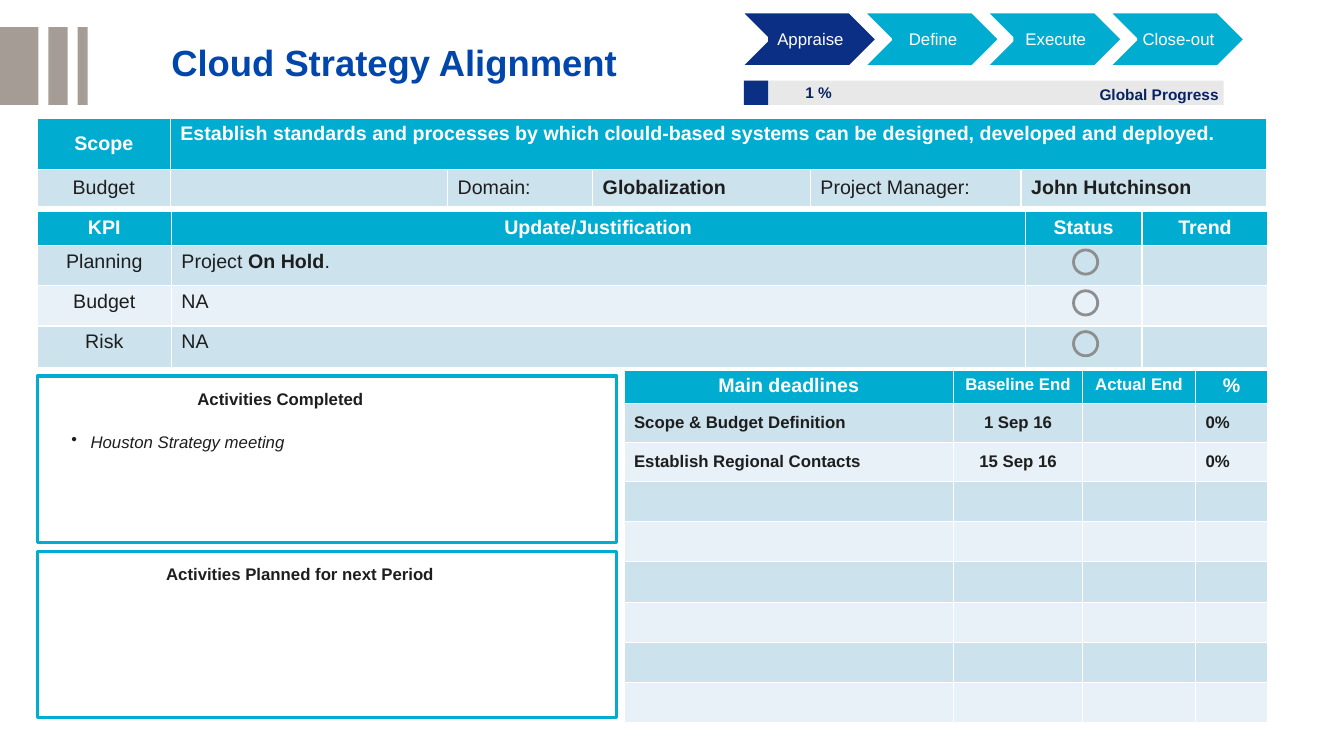
from dataclasses import dataclass

from lxml.etree import SubElement
from pptx import Presentation
from pptx.dml.color import RGBColor
from pptx.enum.shapes import MSO_SHAPE
from pptx.enum.text import MSO_ANCHOR, PP_ALIGN
from pptx.oxml.ns import qn
from pptx.util import Inches, Length, Pt

# Palette and alignment codes
CYAN, NAVY, TAUPE, TITLE_BLUE = "00ADD0", "0A2F85", "A59D95", "0046AD"
INK, PROGRESS_INK, WHITE, TRACK, RING = "1E1E1E", "082364", "FFFFFF", "E8E8E8", "8E8E8E"
BANDS = ("CCE3EE", "E7F1F7")
ALIGN = {"l": PP_ALIGN.LEFT, "c": PP_ALIGN.CENTER}
TOP, MIDDLE = MSO_ANCHOR.TOP, MSO_ANCHOR.MIDDLE


def grid(steps: float) -> Length:
    """The slide is a grid of 133.3 columns by 75 rows, each 0.1 inch."""
    return Inches(steps / 10)


def colour(value: str) -> RGBColor:
    return RGBColor.from_string(value)


@dataclass
class Box:
    column: float
    row: float
    columns: float
    rows: float

    def lengths(self) -> list[Length]:
        return [grid(n) for n in (self.column, self.row, self.columns, self.rows)]


@dataclass
class Label:
    box: Box
    text: str
    size: float
    ink: str
    bold: bool = False
    italic: bool = False
    align: str = "l"
    anchor: MSO_ANCHOR = TOP
    insets: tuple = (0.1, 0.05, 0.1, 0.05)
    line_spacing: float = 1.0
    fill: str = ""


@dataclass
class Stage:
    name: str
    fill: str
    label_fill: str = ""


@dataclass
class Grid:
    """A table; asterisks in its texts enclose bold words."""
    box: Box
    widths: tuple
    heights: tuple
    texts: list
    header_sizes: tuple
    body_size: float
    header_align: str
    body_align: str
    header_anchor: MSO_ANCHOR
    body_anchor: MSO_ANCHOR


def add_block(slide, box: Box, fill: str = "", line: str = "", width: float = 0,
              kind: MSO_SHAPE = MSO_SHAPE.RECTANGLE):
    shape = slide.shapes.add_shape(kind, *box.lengths())
    shape.shadow.inherit = False
    if fill:
        shape.fill.solid()
        shape.fill.fore_color.rgb = colour(fill)
    else:
        shape.fill.background()
    if line:
        shape.line.color.rgb = colour(line)
        shape.line.width = Pt(width)
    else:
        shape.line.fill.background()
    return shape


def style_run(run, size: float, ink: str, bold: bool, italic: bool = False) -> None:
    run.font.name, run.font.size = "Arial", Pt(size)
    run.font.bold, run.font.italic = bold, italic
    run.font.color.rgb = colour(ink)


def add_label(slide, label: Label):
    if label.fill:
        shape = add_block(slide, label.box, label.fill)
    else:
        shape = slide.shapes.add_textbox(*label.box.lengths())
    frame = shape.text_frame
    frame.word_wrap = True
    frame.vertical_anchor = label.anchor
    (frame.margin_left, frame.margin_top,
     frame.margin_right, frame.margin_bottom) = map(Inches, label.insets)
    frame.text = label.text
    paragraph = frame.paragraphs[0]
    paragraph.alignment = ALIGN[label.align]
    paragraph.line_spacing = label.line_spacing
    style_run(paragraph.runs[0], label.size, label.ink, label.bold, label.italic)
    return paragraph


def fill_cell(cell, text: str, size: float, ink: str, align: str,
              anchor: MSO_ANCHOR, fill: str) -> None:
    cell.fill.solid()
    cell.fill.fore_color.rgb = colour(fill)
    if not text:
        cell.margin_top = cell.margin_bottom = 0
        return
    cell.vertical_anchor = anchor
    paragraph = cell.text_frame.paragraphs[0]
    paragraph.alignment = ALIGN[align]
    for index, piece in enumerate(text.split("*")):
        if piece:
            run = paragraph.add_run()
            run.text = piece
            style_run(run, size, ink, index % 2 == 1)


def add_grid(slide, spec_table: Grid):
    table = slide.shapes.add_table(len(spec_table.heights), len(spec_table.widths),
                                   *spec_table.box.lengths()).table
    for column, width in zip(table.columns, spec_table.widths):
        column.width = grid(width)
    for row, height in zip(table.rows, spec_table.heights):
        row.height = grid(height)
    for r, texts in enumerate(spec_table.texts):
        for c, text in enumerate(texts):
            if r == 0:
                fill_cell(table.cell(r, c), text, spec_table.header_sizes[c], WHITE,
                          spec_table.header_align[c], spec_table.header_anchor, CYAN)
            else:
                fill_cell(table.cell(r, c), text, spec_table.body_size, INK,
                          spec_table.body_align[c], spec_table.body_anchor, BANDS[(r - 1) % 2])
    return table


STAGES = [Stage("Appraise", NAVY, NAVY), Stage("Define", CYAN),
          Stage("Execute", CYAN, CYAN), Stage("Close-out", CYAN)]

SCOPE = Grid(
    Box(3.7, 11.7, 122, 8.8), (13.2, 27.5, 14.4, 21.6, 20.9, 24.4), (5.1, 3.7),
    [["*Scope*", "*Establish standards and processes by which clould-based systems "
      "can be designed, developed and deployed.*", "", "", "", ""],
     ["Budget", "", "Domain:", "*Globalization*", "Project Manager:", "*John Hutchinson*"]],
    (14,) * 6, 14, "clllll", "clllll", MIDDLE, MIDDLE)

KPI = Grid(
    Box(3.7, 21, 122.1, 15.4), (13.3, 84.7, 11.6, 12.5), (3.3, 4, 4, 4.1),
    [["*KPI*", "*Update/Justification*", "*Status*", "*Trend*"],
     ["Planning", "Project *On Hold*.", "", ""],
     ["Budget", "NA", "", ""],
     ["Risk", "NA", "", ""]],
    (14,) * 4, 14, "cccc", "clcc", TOP, TOP)

DEADLINES = Grid(
    Box(61.9, 36.7, 63.9, 35), (32.7, 12.8, 11.2, 7.2), (3.3, 3.85, 3.85, *[4] * 6),
    [["*Main deadlines*", "*Baseline End*", "*Actual End*", "*%*"],
     ["*Scope & Budget Definition*", "*1 Sep 16*", "", "*0%*"],
     ["*Establish Regional Contacts*", "*15 Sep 16*", "", "*0%*"],
     *[[""] * 4] * 6],
    (14, 12, 12, 14), 12, "cccc", "lccl", TOP, MIDDLE)

LABELS = [
    Label(Box(17, 2.6, 55, 7.6), "Cloud Strategy Alignment", 26, TITLE_BLUE, bold=True,
          anchor=MIDDLE, insets=(0, 0, 0, 0), line_spacing=0.9),
    Label(Box(78.9, 7.8, 7.5, 2.9), "1 %", 11, PROGRESS_INK, bold=True),
    Label(Box(108.1, 7.9, 14.4, 2.9), "Global Progress", 11, PROGRESS_INK, bold=True),
    Label(Box(18.6, 38.1, 26.8, 3), "Activities Completed", 12, INK, bold=True),
    Label(Box(15.5, 55.4, 30.7, 3), "Activities Planned for next Period", 12, INK, bold=True),
]


def main() -> None:
    presentation = Presentation()
    presentation.slide_width, presentation.slide_height = grid(133.33), grid(75)
    slide = presentation.slides.add_slide(presentation.slide_layouts[6])

    # Corner bars
    for left, width in ((0, 3.8), (4.8, 1.9), (7.7, 1)):
        add_block(slide, Box(left, 2.7, width, 7.7), TAUPE)

    # Project stages
    for index, stage in enumerate(STAGES):
        left = 73.5 + 12.17 * index
        add_block(slide, Box(left, 1.2, 13.5, 5.4), stage.fill, WHITE, 2, MSO_SHAPE.CHEVRON)
        add_label(slide, Label(Box(left + 2.7, 1.7, 8.1, 4.6), stage.name, 12, WHITE,
                               align="c", anchor=MIDDLE, line_spacing=0.9,
                               insets=(0.05, 0.02, 0.02, 0.02), fill=stage.label_fill))

    # Progress bar and activity frames
    add_block(slide, Box(73.8, 8, 47.6, 2.4), TRACK)
    add_block(slide, Box(73.8, 8, 2.4, 2.4), NAVY)
    for top in (37.3, 54.7):
        add_block(slide, Box(3.7, top, 57.5, 16.5), WHITE, CYAN, 2.25)

    # Tables
    scope = add_grid(slide, SCOPE)
    scope.cell(0, 1).merge(scope.cell(0, 5))
    scope.cell(0, 1).vertical_anchor = TOP
    add_grid(slide, KPI)
    add_grid(slide, DEADLINES)

    # Headings and the completed activity
    for label in LABELS:
        add_label(slide, label)
    activity = add_label(slide, Label(Box(6.1, 42.3, 53.5, 3), "Houston Strategy meeting",
                                      12, INK, italic=True))
    properties = activity._p.get_or_add_pPr()
    properties.set("marL", str(grid(1.9)))
    properties.set("indent", str(-grid(1.9)))
    SubElement(properties, qn("a:buChar")).set("char", "•")

    # Status rings
    for index in range(3):
        add_block(slide, Box(106.5, 24.8 + 4.05 * index, 2.4, 2.4), "", RING, 2, MSO_SHAPE.OVAL)

    presentation.save("out.pptx")


if __name__ == "__main__":
    main()
